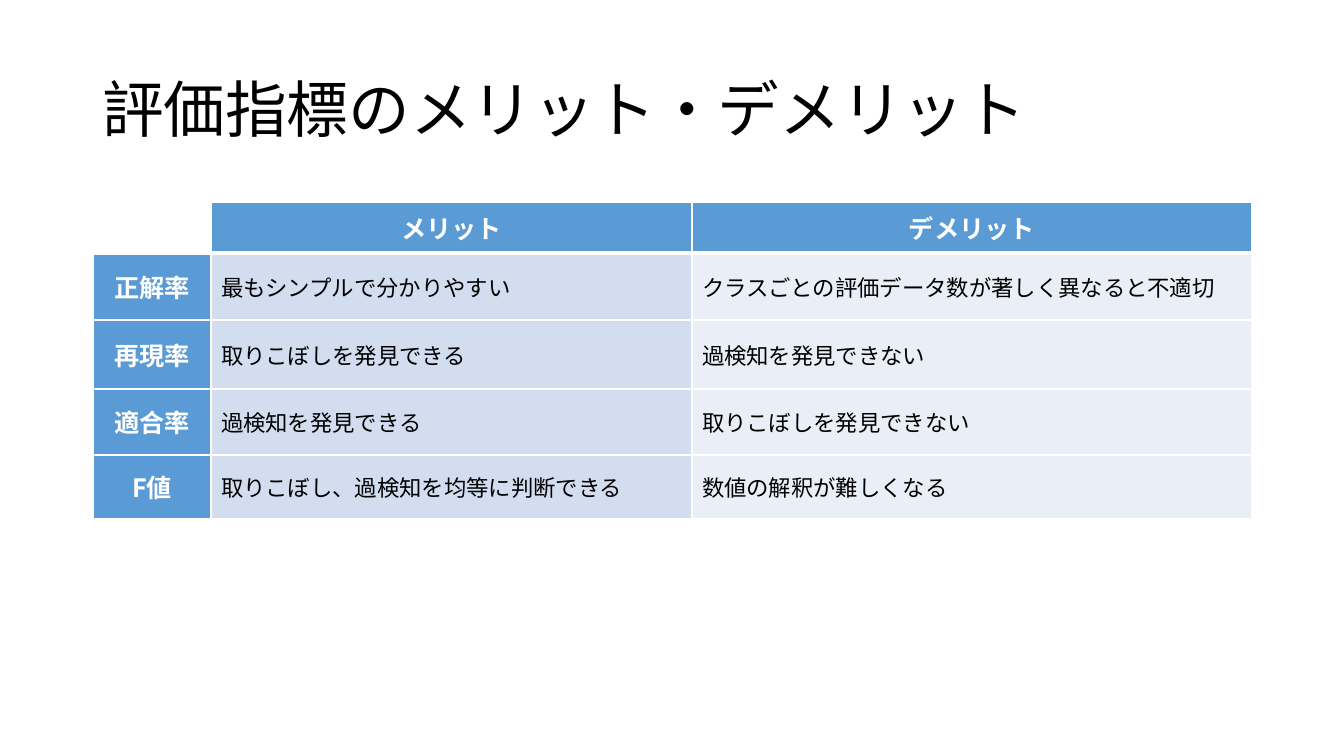
from dataclasses import dataclass

from lxml.etree import SubElement
from pptx import Presentation
from pptx.dml.color import RGBColor
from pptx.enum.text import MSO_ANCHOR, MSO_AUTO_SIZE, PP_ALIGN
from pptx.oxml.ns import qn
from pptx.util import Emu, Pt

SCALE = 914400 / 100.8
FONT = "Noto Sans CJK JP"
BLACK = RGBColor(0x00, 0x00, 0x00)
WHITE = RGBColor(0xFF, 0xFF, 0xFF)
BLUE = RGBColor(0x5B, 0x9B, 0xD5)
LIGHT = RGBColor(0xD2, 0xDE, 0xEF)
PALE = RGBColor(0xEA, 0xEF, 0xF7)

COLS = [118, 481, 560]
ROWS = [51, 67, 69, 66, 64]
TITLE = "評価指標のメリット・デメリット"


@dataclass
class Metric:
    """One metric with its strong and weak point."""
    name: str
    merit: str
    fault: str


HEAD = Metric("", "メリット", "デメリット")
METRICS = [
    Metric("正解率", "最もシンプルで分かりやすい", "クラスごとの評価データ数が著しく異なると不適切"),
    Metric("再現率", "取りこぼしを発見できる", "過検知を発見できない"),
    Metric("適合率", "過検知を発見できる", "取りこぼしを発見できない"),
    Metric("F値", "取りこぼし、過検知を均等に判断できる", "数値の解釈が難しくなる"),
]


def px(num: int) -> Emu:
    """Turn pixels into EMU."""
    return Emu(round(num * SCALE))


def write(frame, text: str, *, size: int, color=BLACK, bold=False,
          align=PP_ALIGN.LEFT, space=1.0) -> None:
    """Put one formatted line of text into a text frame."""
    para = frame.paragraphs[0]
    para.alignment = align
    para.line_spacing = space
    run = para.add_run()
    run.text = text
    font = run.font
    font.size, font.bold, font.name = Pt(size), bold, FONT
    font.color.rgb = color
    SubElement(font._element, qn("a:ea"), typeface=FONT)


def edge(cell, side: str, width: int) -> None:
    """Draw a white border on one side of a cell."""
    props = cell._tc.get_or_add_tcPr()
    line = SubElement(props, qn(f"a:ln{side}"), w=str(Pt(width)))
    fill = SubElement(line, qn("a:solidFill"))
    SubElement(fill, qn("a:srgbClr"), val=str(WHITE))


def paint(cell, text: str, row: int, col: int) -> None:
    """Style one cell by its place in the table."""
    label = row == 0 or col == 0
    thick = {(0, "B"), (1, "T")}
    for side in "LRTB":
        edge(cell, side, 3 if (row, side) in thick else 1)
    cell.fill.solid()
    if text:
        cell.fill.fore_color.rgb = BLUE if label else (LIGHT, PALE)[col - 1]
    else:
        cell.fill.fore_color.rgb = WHITE
    cell.vertical_anchor = MSO_ANCHOR.MIDDLE
    if text and label:
        write(cell.text_frame, text, size=18, color=WHITE, bold=True,
              align=PP_ALIGN.CENTER)
    elif text:
        write(cell.text_frame, text, size=16)


def head(slide) -> None:
    """Place the slide title."""
    shape = slide.shapes.title
    shape.left, shape.top = px(92), px(40)
    shape.width, shape.height = px(1159), px(146)
    frame = shape.text_frame
    frame.auto_size = MSO_AUTO_SIZE.NONE
    frame.word_wrap = True
    frame.vertical_anchor = MSO_ANCHOR.MIDDLE
    write(frame, TITLE, size=44, space=0.9)


def grid(slide) -> None:
    """Build the table of metrics."""
    table = slide.shapes.add_table(
        len(ROWS), len(COLS), px(93), px(202),
        px(sum(COLS)), px(sum(ROWS))).table
    table.first_row = table.horz_banding = False
    for item, width in zip(table.columns, COLS):
        item.width = px(width)
    for item, height in zip(table.rows, ROWS):
        item.height = px(height)
    for row, data in enumerate([HEAD, *METRICS]):
        for col, text in enumerate([data.name, data.merit, data.fault]):
            paint(table.cell(row, col), text, row, col)


def main() -> None:
    """Build and save the slide."""
    deck = Presentation()
    deck.slide_width, deck.slide_height = px(1344), px(756)
    slide = deck.slides.add_slide(deck.slide_layouts[5])
    head(slide)
    grid(slide)
    deck.save("out.pptx")


main()
